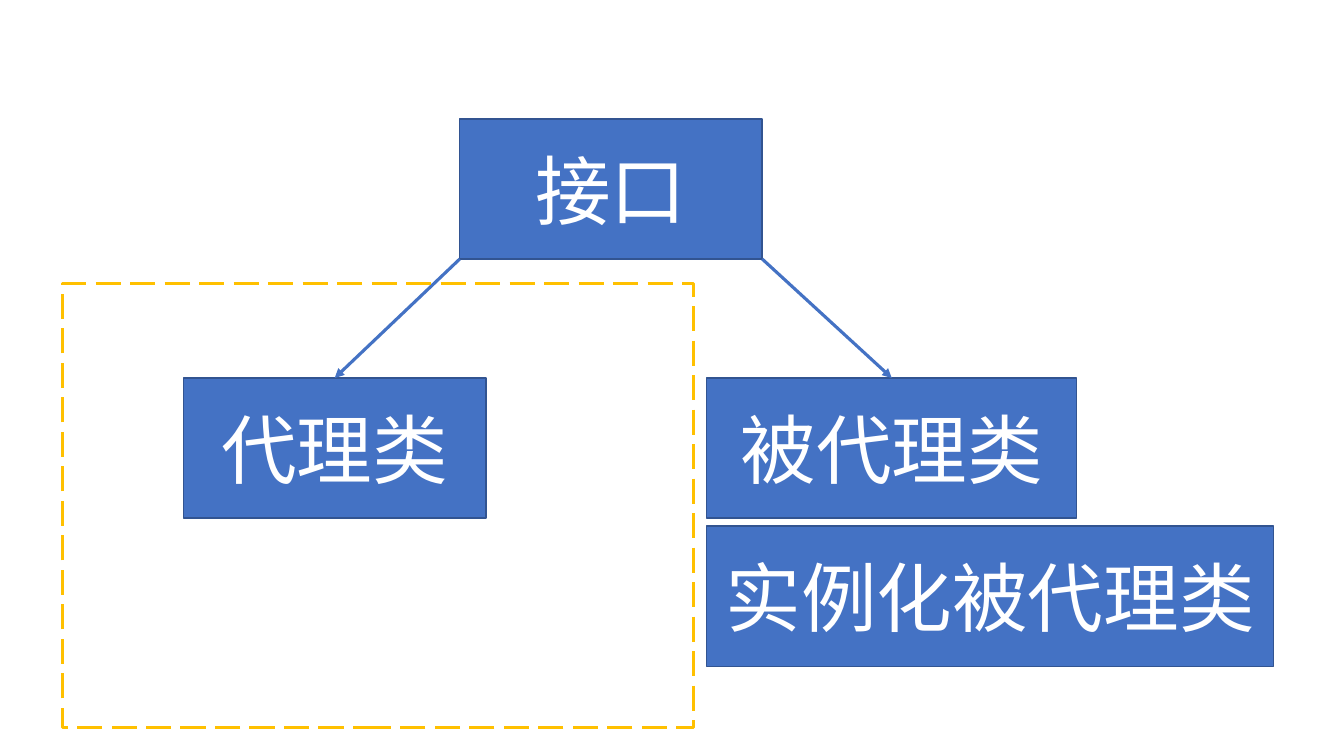
from dataclasses import dataclass

from pptx import Presentation
from pptx.dml.color import RGBColor as Rgb
from pptx.enum.dml import MSO_LINE as Dash
from pptx.enum.shapes import MSO_CONNECTOR as Conn, MSO_SHAPE as Form
from pptx.enum.text import MSO_ANCHOR as Anchor, PP_ALIGN as Align
from pptx.oxml.ns import qn
from pptx.shapes.autoshape import Shape
from pptx.shapes.connector import Connector
from pptx.slide import Slide
from pptx.util import Emu, Pt

SCALE = 9144


@dataclass(frozen=True)
class Theme:
    fill: str = "4472C4"
    edge: str = "325491"
    frame: str = "FFC000"
    text: str = "FFFFFF"
    font: str = "Noto Sans CJK SC"
    size: int = 54
    thin: float = 1
    thick: float = 2.25


@dataclass(frozen=True)
class Box:
    left: int
    top: int
    width: int
    height: int = 139
    label: str = ""


THEME = Theme()
ROOT = Box(456, 118, 300, label="接口")
PROXY = Box(182, 375, 300, label="代理类")
TARGET = Box(701, 375, 367, label="被代理类")
OBJECT = Box(701, 522, 562, label="实例化被代理类")
FRAME = Box(62, 281, 626, 441)


def px(count: int) -> Emu:
    return Emu(count * SCALE)


def color(code: str) -> Rgb:
    return Rgb.from_string(code)


def write(shape: Shape, text: str, *, size: int, ink: str, font: str,
          align: Align = Align.CENTER, anchor: Anchor = Anchor.MIDDLE) -> None:
    frame = shape.text_frame
    frame.word_wrap = True
    frame.vertical_anchor = anchor
    para = frame.paragraphs[0]
    para.alignment = align
    run = para.add_run()
    run.text = text
    run.font.size = Pt(size)
    run.font.name = font
    run.font.color.rgb = color(ink)
    east = run.font._element.makeelement(qn("a:ea"), {"typeface": font})
    run.font._element.find(qn("a:latin")).addnext(east)


def draw(slide: Slide, box: Box, edge: str, weight: float) -> Shape:
    shape = slide.shapes.add_shape(
        Form.RECTANGLE, px(box.left), px(box.top), px(box.width), px(box.height))
    shape.shadow.inherit = False
    shape.line.color.rgb = color(edge)
    shape.line.width = Pt(weight)
    return shape


def block(slide: Slide, box: Box) -> Shape:
    shape = draw(slide, box, THEME.edge, THEME.thin)
    shape.fill.solid()
    shape.fill.fore_color.rgb = color(THEME.fill)
    write(shape, box.label, size=THEME.size, ink=THEME.text, font=THEME.font)
    return shape


def arrow(slide: Slide, left: int, top: int, goal: Shape) -> Connector:
    line = slide.shapes.add_connector(
        Conn.STRAIGHT, px(left), px(top), goal.left + goal.width // 2, goal.top)
    line.end_connect(goal, 0)
    line.line.color.rgb = color(THEME.fill)
    line.line.width = Pt(THEME.thick)
    props = line._element.spPr
    edge = props.find(qn("a:ln"))
    edge.append(edge.makeelement(qn("a:tailEnd"), {"type": "triangle"}))
    props.append(props.makeelement(qn("a:effectLst"), {}))
    return line


def main() -> None:
    deck = Presentation()
    deck.slide_width, deck.slide_height = px(1333), px(750)
    slide = deck.slides.add_slide(deck.slide_layouts[6])

    block(slide, ROOT)
    proxy, target = block(slide, PROXY), block(slide, TARGET)
    base = ROOT.top + ROOT.height
    arrow(slide, ROOT.left, base, proxy)
    arrow(slide, ROOT.left + ROOT.width, base, target)
    block(slide, OBJECT)

    frame = draw(slide, FRAME, THEME.frame, THEME.thick)
    frame.fill.background()
    frame.line.dash_style = Dash.LONG_DASH

    deck.save("out.pptx")


if __name__ == "__main__":
    main()
